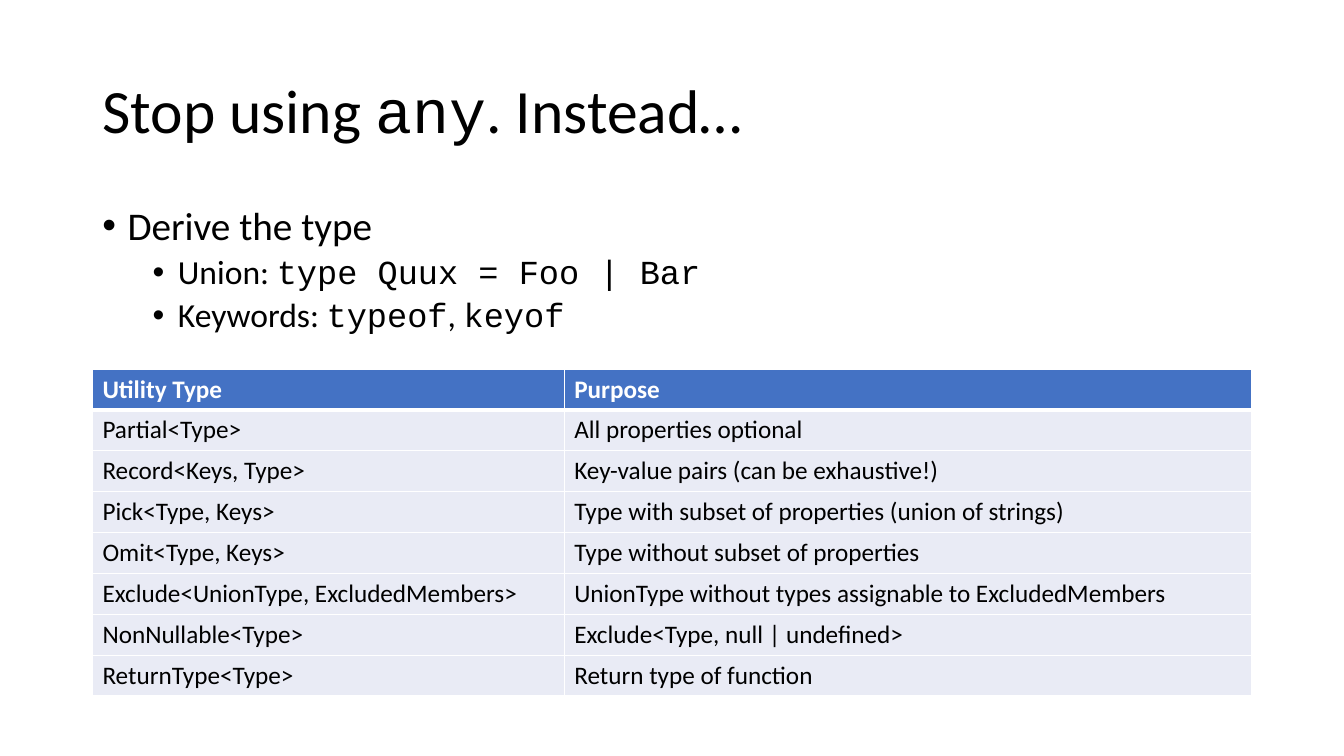
from dataclasses import dataclass

from lxml.etree import SubElement
from pptx import Presentation
from pptx.dml.color import RGBColor as Rgb
from pptx.enum.text import MSO_ANCHOR as Anchor
from pptx.oxml.ns import qn
from pptx.util import Cm, Pt


@dataclass(frozen=True)
class Theme:
    sans: str = "Calibri"
    mono: str = "Courier New"
    ink: str = "000000"
    paper: str = "FFFFFF"
    header: str = "4472C4"
    band: str = "E9EBF5"
    title_size: int = 44
    bullet_sizes: tuple = (28, 24)
    table_size: int = 18


THEME = Theme()
LEFT, WIDTH = 2.33, 29.21
COLUMN_WIDTHS = (11.89, 17.32)
ROW_HEIGHT = 1.03

TITLE = ["Stop using ", "any", ". Instead…"]
BULLETS = [
    (0, ["Derive the type"]),
    (1, ["Union: ", "type Quux = Foo | Bar"]),
    (1, ["Keywords: ", "typeof", ", ", "keyof"]),
]
UTILITY_TYPES = [
    ("Utility Type", "Purpose"),
    ("Partial<Type>", "All properties optional"),
    ("Record<Keys, Type>", "Key-value pairs (can be exhaustive!)"),
    ("Pick<Type, Keys>", "Type with subset of properties (union of strings)"),
    ("Omit<Type, Keys>", "Type without subset of properties"),
    ("Exclude<UnionType, ExcludedMembers>",
     "UnionType without types assignable to ExcludedMembers"),
    ("NonNullable<Type>", "Exclude<Type, null | undefined>"),
    ("ReturnType<Type>", "Return type of function"),
]


def apply_format(target, values):
    for name, value in values.items():
        setattr(target, name, value)


def add_spans(para, texts, size, color=THEME.ink, bold=False):
    """Write texts that alternate between the sans and the code font."""
    for index, text in enumerate(texts):
        span = para.add_run()
        span.text = text
        font = THEME.mono if index % 2 else THEME.sans
        apply_format(span.font, {"name": font, "size": Pt(size), "bold": bold})
        span.font.color.rgb = Rgb.from_string(color)


def add_text_frame(page, top, height, anchor):
    box = page.shapes.add_textbox(Cm(LEFT), Cm(top), Cm(WIDTH), Cm(height))
    apply_format(box.text_frame, {"word_wrap": True, "vertical_anchor": anchor})
    return box.text_frame


def add_title(page):
    para = add_text_frame(page, 1.01, 3.68, Anchor.MIDDLE).paragraphs[0]
    para.line_spacing = 0.9
    add_spans(para, TITLE, THEME.title_size)


def set_bullet(para, level):
    props = para._p.get_or_add_pPr()
    props.set("marL", str(Cm(0.635 + 1.27 * level)))
    props.set("indent", str(Cm(-0.635)))
    SubElement(props, qn("a:buFont"), typeface="Arial")
    SubElement(props, qn("a:buChar"), char="•")


def add_bullets(page):
    frame = add_text_frame(page, 5.07, 12.09, Anchor.TOP)
    for index, (level, texts) in enumerate(BULLETS):
        para = frame.add_paragraph() if index else frame.paragraphs[0]
        apply_format(para, {"level": level, "line_spacing": 0.9,
                            "space_before": Pt(5 if level else 10)})
        set_bullet(para, level)
        add_spans(para, texts, THEME.bullet_sizes[level])


def set_borders(cell, widths):
    """Draw the cell's edges, given the width in points of each side."""
    props = cell._tc.get_or_add_tcPr()
    for side, width in widths.items():
        line = SubElement(props, qn(f"a:ln{side}"), w=str(Pt(width)))
        fill = SubElement(line, qn("a:solidFill"))
        SubElement(fill, qn("a:srgbClr"), val=THEME.paper)


def fill_cell(cell, text, row):
    is_header = row == 0
    set_borders(cell, {"L": 1, "R": 1, "T": 3 if row == 1 else 1,
                       "B": 3 if is_header else 1})
    cell.fill.solid()
    cell.fill.fore_color.rgb = Rgb.from_string(
        THEME.header if is_header else THEME.band)
    add_spans(cell.text_frame.paragraphs[0], [text], THEME.table_size,
              THEME.paper if is_header else THEME.ink, is_header)


def add_type_table(page):
    rows = len(UTILITY_TYPES)
    table = page.shapes.add_table(
        rows, len(COLUMN_WIDTHS), Cm(LEFT), Cm(9.3), Cm(WIDTH),
        Cm(ROW_HEIGHT * rows)).table
    table.horz_banding = False
    for column, width in zip(table.columns, COLUMN_WIDTHS):
        column.width = Cm(width)
    for row, texts in enumerate(UTILITY_TYPES):
        for column, text in enumerate(texts):
            fill_cell(table.cell(row, column), text, row)


def main():
    deck = Presentation()
    apply_format(deck, {"slide_width": Cm(33.87), "slide_height": Cm(19.05)})
    page = deck.slides.add_slide(deck.slide_layouts[6])
    add_title(page)
    add_bullets(page)
    add_type_table(page)
    deck.save("out.pptx")


if __name__ == "__main__":
    main()
